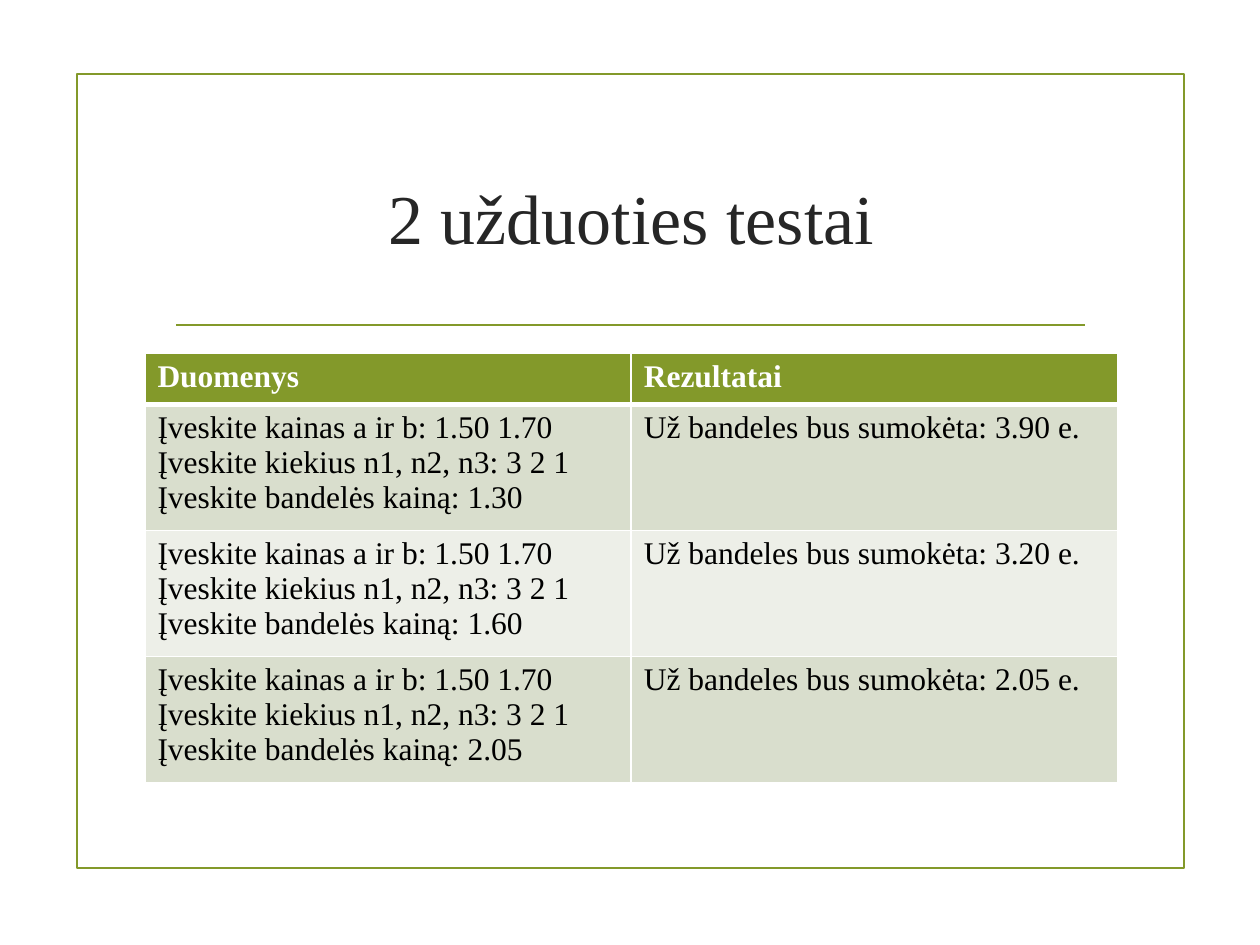
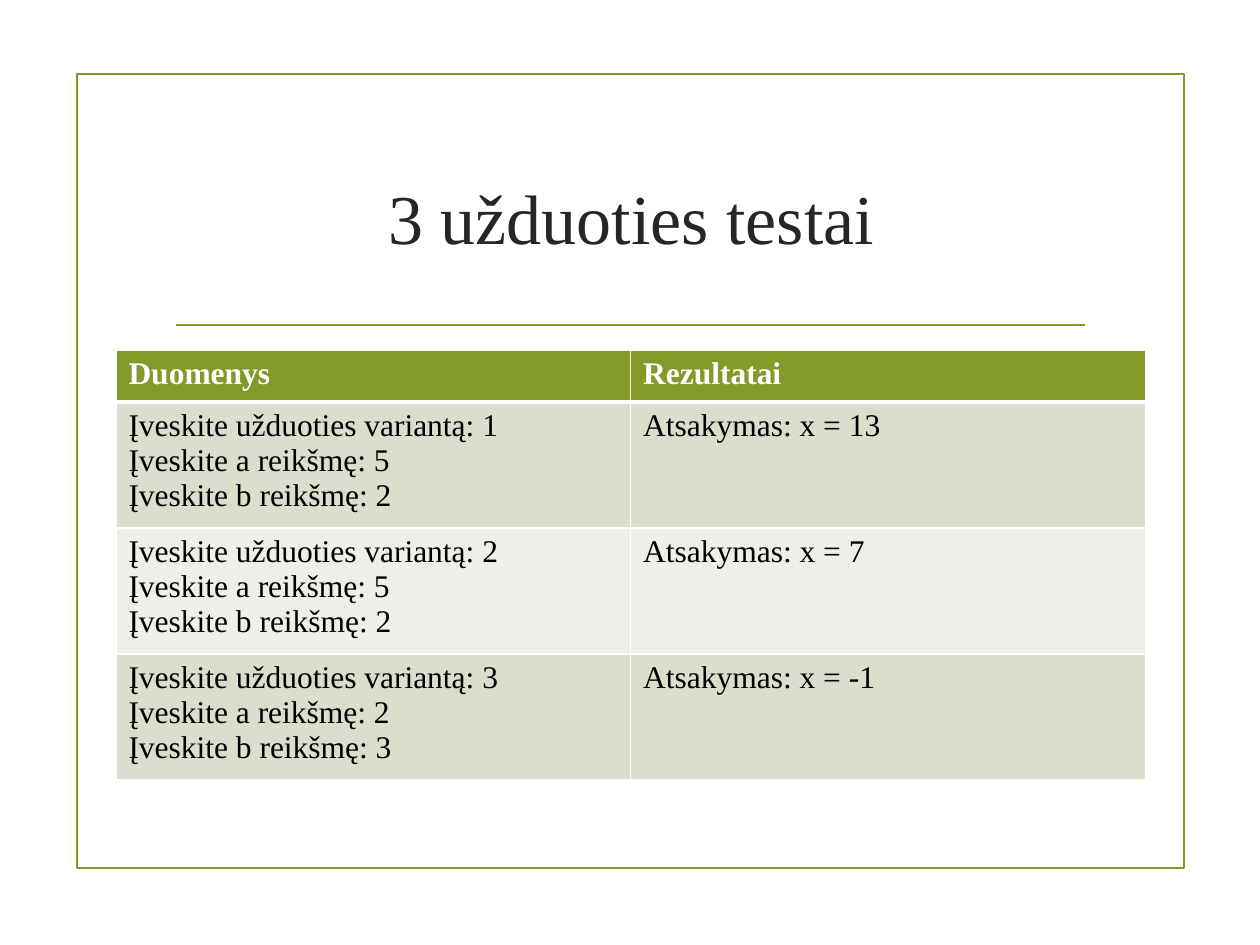
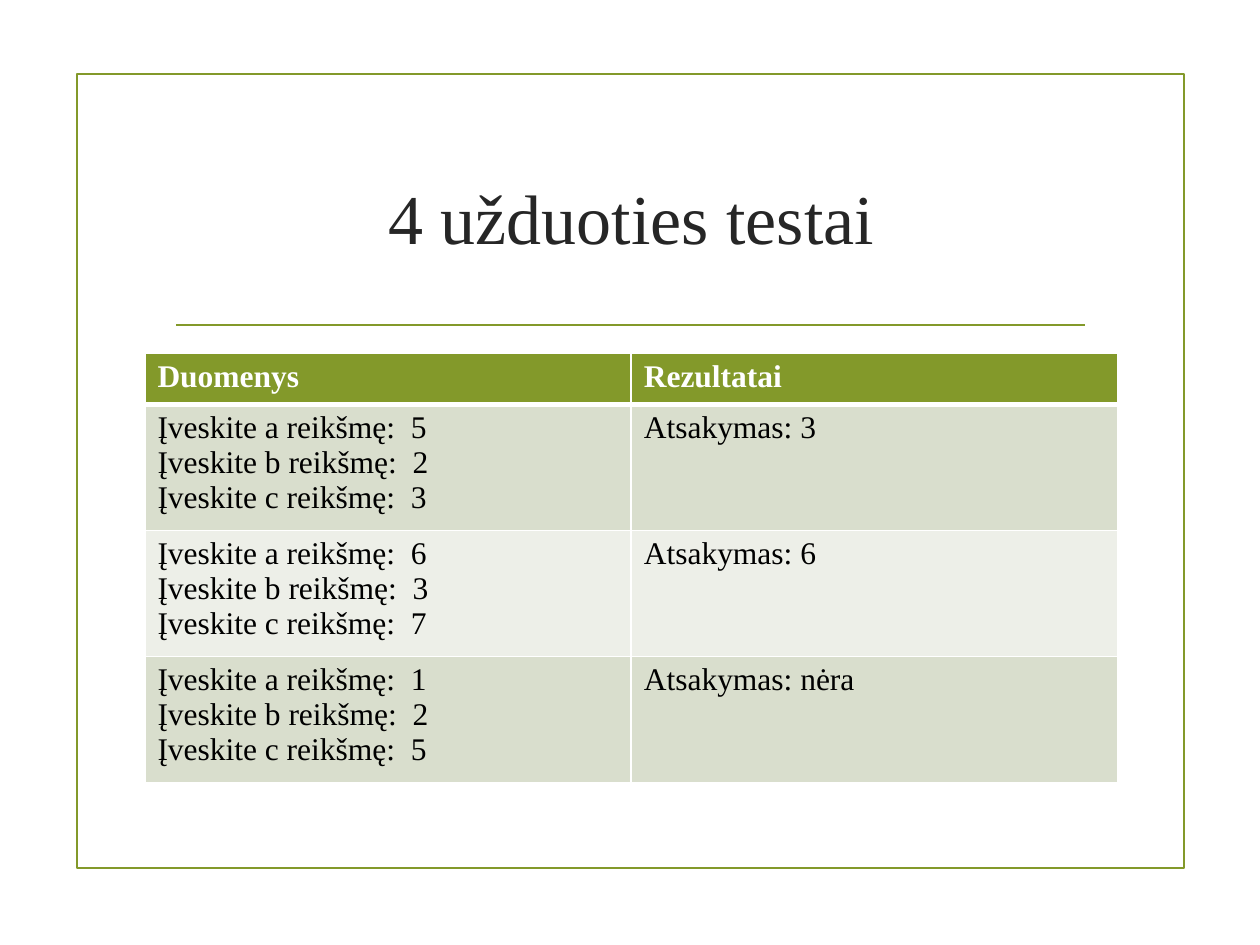
from pptx import Presentation
from pptx.dml.color import RGBColor
from pptx.enum.shapes import MSO_CONNECTOR as Link, MSO_SHAPE as Shape
from pptx.enum.text import MSO_ANCHOR as Anchor, PP_ALIGN as Align
from pptx.oxml.ns import qn
from pptx.util import Inches, Pt
from lxml.etree import SubElement as Sub

GREEN = RGBColor(0x83, 0x99, 0x2A)
DARK = RGBColor(0x26, 0x26, 0x26)
BLACK = RGBColor(0, 0, 0)
WHITE = RGBColor(0xFF, 0xFF, 0xFF)
BANDS = [RGBColor(0xD9, 0xDE, 0xCD), RGBColor(0xED, 0xEF, 0xE8)]
FONT = "Times New Roman"

HEADS = ["Duomenys", "Rezultatai"]
HEAD_H, ROW_H = 0.41, 0.93
WIDE, SLIM = (0.92, 2.78, 8.17), (1.15, 2.8, 7.72)

TASKS = [
    {
        "title": "2 užduoties testai",
        "place": SLIM,
        "asks": ["Įveskite kainas a ir b: {}", "Įveskite kiekius n1, n2, n3: {}",
                 "Įveskite bandelės kainą: {}"],
        "reply": "Už bandeles bus sumokėta: {} e.",
        "tests": [(["1.50 1.70", "3 2 1", "1.30"], "3.90"),
                  (["1.50 1.70", "3 2 1", "1.60"], "3.20"),
                  (["1.50 1.70", "3 2 1", "2.05"], "2.05")],
    },
    {
        "title": "3 užduoties testai",
        "place": WIDE,
        "asks": ["Įveskite užduoties variantą: {}", "Įveskite a reikšmę: {}",
                 "Įveskite b reikšmę: {}"],
        "reply": "Atsakymas: x = {}",
        "tests": [([1, 5, 2], 13), ([2, 5, 2], 7), ([3, 2, 3], -1)],
    },
    {
        "title": "4 užduoties testai",
        "place": SLIM,
        "asks": ["Įveskite a reikšmę:  {}", "Įveskite b reikšmę:  {}",
                 "Įveskite c reikšmę:  {}"],
        "reply": "Atsakymas: {}",
        "tests": [([5, 2, 3], 3), ([6, 3, 7], 6), ([1, 2, 5], "nėra")],
    },
]


def style(frame, size, color, bold=False, align=None):
    for para in frame.paragraphs:
        para.alignment = align
        for run in para.runs:
            font = run.font
            font.name, font.size, font.bold = FONT, Pt(size), bold
            font.color.rgb = color


def stroke(line):
    line.color.rgb = GREEN
    line.width = Pt(1.25)


def add_frame(slide):
    box = slide.shapes.add_shape(Shape.RECTANGLE, *map(Inches, (0.61, 0.59, 8.79, 6.3)))
    box.shadow.inherit = False
    box.fill.background()
    stroke(box.line)
    rule = slide.shapes.add_connector(Link.STRAIGHT, *map(Inches, (1.4, 2.58, 8.61, 2.58)))
    Sub(rule._element.spPr, qn("a:effectLst"))
    stroke(rule.line)


def add_title(slide, text):
    frame = slide.shapes.add_textbox(*map(Inches, (1.29, 1, 7.44, 1.43))).text_frame
    frame.word_wrap = True
    frame.vertical_anchor = Anchor.MIDDLE
    frame.text = text
    style(frame, 40, DARK, align=Align.CENTER)


def edge(cell, row):
    props = cell._tc.get_or_add_tcPr()
    for side in "LRTB":
        thick = (row, side) in ((0, "B"), (1, "T"))
        line = Sub(props, qn("a:ln" + side), w=str(Pt(3 if thick else 1)))
        Sub(Sub(line, qn("a:solidFill")), qn("a:srgbClr"), val=str(WHITE))


def add_tests(slide, task):
    rows = [HEADS]
    for values, result in task["tests"]:
        lines = [ask.format(value) for ask, value in zip(task["asks"], values)]
        rows.append(["\n".join(lines), task["reply"].format(result)])
    high = HEAD_H + ROW_H * len(task["tests"])
    left, top, width = task["place"]
    grid = slide.shapes.add_table(len(rows), len(HEADS),
                                  *map(Inches, (left, top, width, high))).table
    for r, texts in enumerate(rows):
        grid.rows[r].height = Inches(ROW_H if r else HEAD_H)
        for c, text in enumerate(texts):
            cell = grid.cell(r, c)
            cell.text_frame.text = text
            style(cell.text_frame, 18, BLACK if r else WHITE, bold=r == 0)
            edge(cell, r)
            cell.fill.solid()
            cell.fill.fore_color.rgb = BANDS[(r - 1) % 2] if r else GREEN


def main():
    deck = Presentation()
    deck.slide_width, deck.slide_height = Inches(10), Inches(7.5)
    for task in TASKS:
        slide = deck.slides.add_slide(deck.slide_layouts[6])
        add_frame(slide)
        add_title(slide, task["title"])
        add_tests(slide, task)
    deck.save("out.pptx")


if __name__ == "__main__":
    main()
